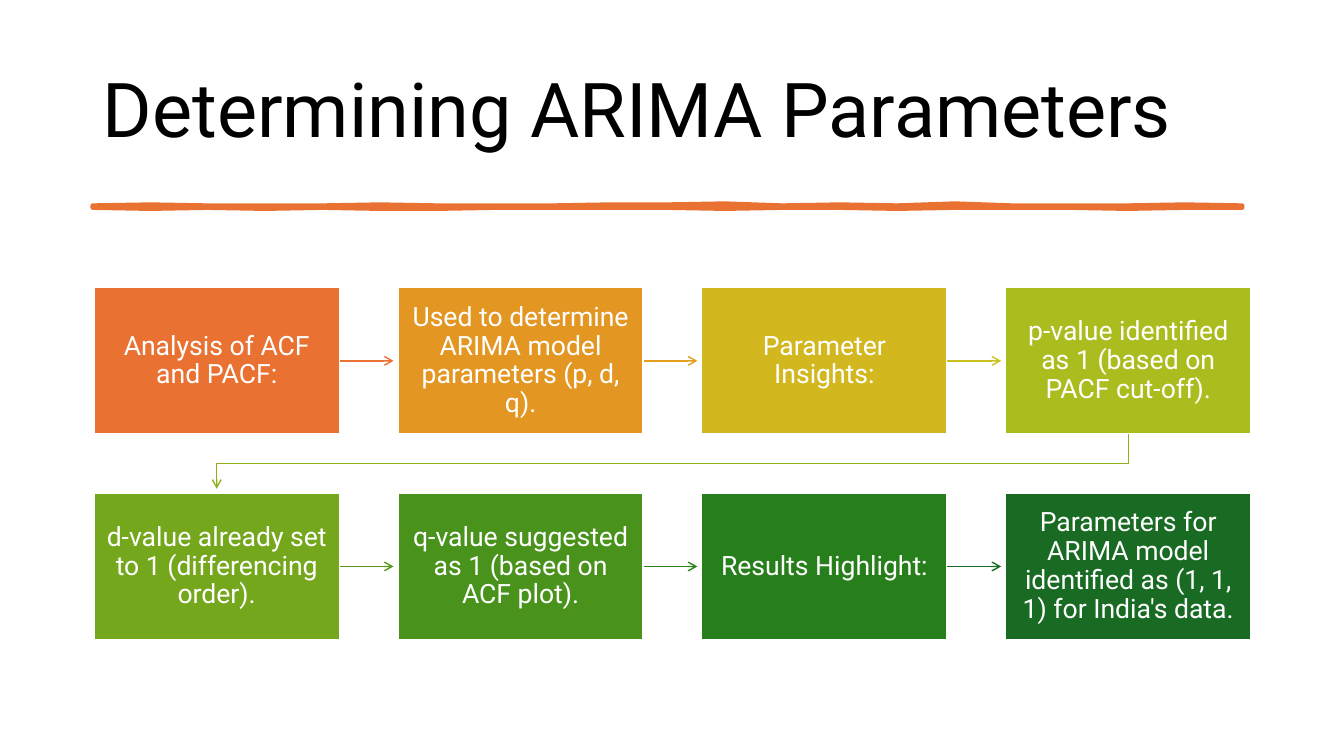
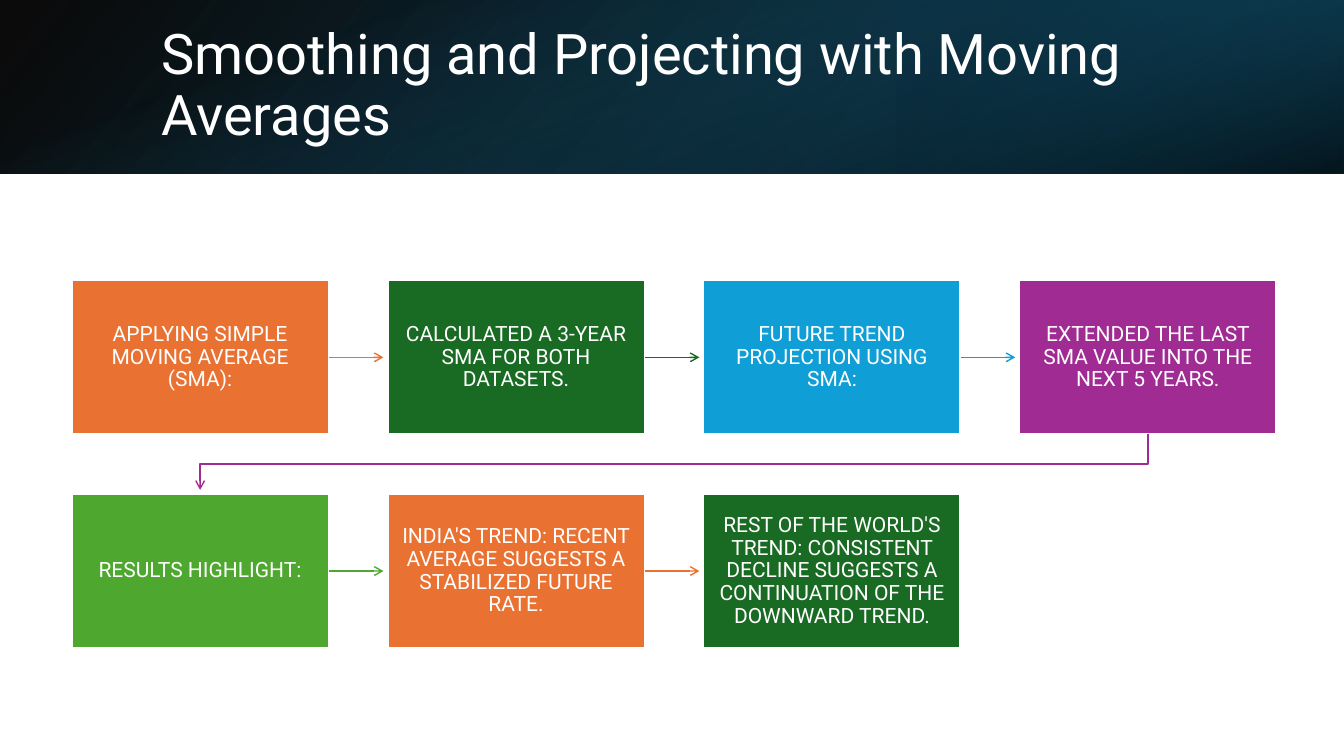
"""Build two process-flow slides about forecasting parameters and moving averages."""
from dataclasses import dataclass
from typing import Optional

import pptx
import pptx.dml.color
import pptx.enum.shapes
import pptx.enum.text
import pptx.oxml.ns
import pptx.oxml.xmlchemy
import pptx.shapes.autoshape
import pptx.slide
import pptx.util
from lxml import etree
from pptx.dml.color import RGBColor
from pptx.util import Inches, Pt

FONT = "Roboto"
WHITE = RGBColor(0xFF, 0xFF, 0xFF)
BLACK = RGBColor(0x00, 0x00, 0x00)
ORANGE = RGBColor(0xE9, 0x71, 0x32)
AMBER = RGBColor(0xE4, 0x96, 0x22)
AMBER_LINE = RGBColor(0xE3, 0x9D, 0x1F)
MUSTARD = RGBColor(0xD2, 0xB8, 0x1E)
MUSTARD_LINE = RGBColor(0xCB, 0xC1, 0x1E)
LIME = RGBColor(0xAB, 0xBC, 0x1E)
LIME_LINE = RGBColor(0x8E, 0xB2, 0x1E)
OLIVE = RGBColor(0x75, 0xA7, 0x1D)
OLIVE_LINE = RGBColor(0x56, 0x99, 0x1D)
LEAF = RGBColor(0x49, 0x93, 0x1D)
LEAF_LINE = RGBColor(0x2C, 0x82, 0x1B)
FOREST = RGBColor(0x27, 0x7F, 0x1B)
DARK_GREEN = RGBColor(0x19, 0x6B, 0x24)
GREEN = RGBColor(0x4E, 0xA7, 0x2E)
BLUE = RGBColor(0x0F, 0x9E, 0xD5)
PURPLE = RGBColor(0xA0, 0x2B, 0x93)
TEAL = RGBColor(0x15, 0x60, 0x82)
DEEP_TEAL = RGBColor(0x10, 0x48, 0x62)
NIGHT_TEAL = RGBColor(0x0B, 0x30, 0x41)

COLUMNS = 4
ARROW_GAP = 0.04
BRUSH_LEFT, BRUSH_WIDTH = 0.92, 11.4
BRUSH_TOP = (2.04, 2.03, 2.04, 2.04, 2.04, 2.03, 2.04, 2.04, 2.04, 2.03, 2.03,
             2.02, 2.04, 2.03, 2.04, 2.02, 2.04, 2.04, 2.04, 2.03, 2.04)
BRUSH_BOTTOM = (2.06, 2.07, 2.06, 2.07, 2.06, 2.07, 2.07, 2.06, 2.06, 2.06, 2.06,
                2.07, 2.06, 2.06, 2.07, 2.06, 2.06, 2.06, 2.07, 2.06, 2.06)


@dataclass(frozen=True)
class Step:
    """One box of a flow, with the colour of the arrow that leaves it."""
    text: str
    fill: RGBColor
    arrow: Optional[RGBColor] = None


@dataclass(frozen=True)
class Grid:
    """Placement of the flow boxes, in inches."""
    left: float
    top: float
    width: float
    box_w: float
    box_h: float
    row_step: float
    size: int

    def origin(self, i: int) -> tuple[float, float]:
        """Return the top left corner of box i."""
        row, col = divmod(i, COLUMNS)
        col_step = (self.width - self.box_w) / (COLUMNS - 1)
        return self.left + col * col_step, self.top + row * self.row_step


@dataclass(frozen=True)
class Stop:
    """A gradient stop; position and opacity run from 0 to 1."""
    position: float
    color: RGBColor
    opacity: float


@dataclass(frozen=True)
class Layer:
    """A gradient layer of the banner, with a clockwise angle."""
    left: float
    width: float
    angle: int
    stops: tuple[Stop, Stop]


ARIMA_GRID = Grid(0.93, 2.85, 11.48, 2.44, 1.46, 2.04, 19)
ARIMA_STEPS = (
    Step("Analysis of ACF and PACF:", ORANGE),
    Step("Used to determine ARIMA model parameters (p, d, q).", AMBER, AMBER_LINE),
    Step("Parameter Insights:", MUSTARD, MUSTARD_LINE),
    Step("p-value identified as 1 (based on PACF cut-off).", LIME, LIME_LINE),
    Step("d-value already set to 1 (differencing order).", OLIVE, OLIVE_LINE),
    Step("q-value suggested as 1 (based on ACF plot).", LEAF, LEAF_LINE),
    Step("Results Highlight:", FOREST, DARK_GREEN),
    Step("Parameters for ARIMA model identified as (1, 1, 1) for India's data.", DARK_GREEN),
)
SMA_GRID = Grid(0.71, 2.78, 11.95, 2.55, 1.53, 2.12, 15)
SMA_STEPS = (
    Step("APPLYING SIMPLE MOVING AVERAGE (SMA):", ORANGE),
    Step("CALCULATED A 3-YEAR SMA FOR BOTH DATASETS.", DARK_GREEN),
    Step("FUTURE TREND PROJECTION USING SMA:", BLUE),
    Step("EXTENDED THE LAST SMA VALUE INTO THE NEXT 5 YEARS.", PURPLE),
    Step("RESULTS HIGHLIGHT:", GREEN),
    Step("INDIA'S TREND: RECENT AVERAGE SUGGESTS A STABILIZED FUTURE RATE.", ORANGE),
    Step("REST OF THE WORLD'S TREND: CONSISTENT DECLINE SUGGESTS A "
         "CONTINUATION OF THE DOWNWARD TREND.", DARK_GREEN),
)
BANNER_HEIGHT = 1.72
BANNER = (
    Layer(0, 13.33, 40, (Stop(0, BLACK, 0.96), Stop(1, DEEP_TEAL, 1))),
    Layer(8.89, 4.44, 40, (Stop(0.19, NIGHT_TEAL, 0.68), Stop(1, TEAL, 0.79))),
    Layer(0, 13.33, 70, (Stop(0.23, TEAL, 0), Stop(0.99, BLACK, 0.74))),
)


def add_child(parent: etree.ElementBase, tag: str, **attrs: str) -> None:
    """Append a DrawingML element to a parent."""
    etree.SubElement(parent, pptx.oxml.ns.qn(tag), attrs)


def add_title(s: pptx.slide.Slide, text: str, box: tuple[float, float, float, float],
              size: int, color: RGBColor) -> None:
    """Fill, place and format the title, in front of what is already drawn."""
    title = s.shapes.title
    title.left, title.top, title.width, title.height = map(Inches, box)
    tf = title.text_frame
    tf.text = text
    tf.word_wrap = True
    tf.auto_size = pptx.enum.text.MSO_AUTO_SIZE.NONE
    tf.vertical_anchor = pptx.enum.text.MSO_ANCHOR.MIDDLE
    p = tf.paragraphs[0]
    p.alignment = pptx.enum.text.PP_ALIGN.LEFT
    p.line_spacing = 0.9
    p.font.name, p.font.size = FONT, Pt(size)
    p.font.color.rgb = color
    s.shapes._spTree.append(title._element)


def add_box(s: pptx.slide.Slide, grid: Grid, i: int,
            step: Step) -> pptx.shapes.autoshape.Shape:
    """Draw box i of a flow."""
    x, y = grid.origin(i)
    sp = s.shapes.add_shape(pptx.enum.shapes.MSO_SHAPE.RECTANGLE, Inches(x), Inches(y),
                            Inches(grid.box_w), Inches(grid.box_h))
    sp.shadow.inherit = False
    sp.fill.solid()
    sp.fill.fore_color.rgb = step.fill
    sp.line.color.rgb = WHITE
    sp.line.width = Pt(1.5)
    tf = sp.text_frame
    tf.word_wrap = True
    tf.vertical_anchor = pptx.enum.text.MSO_ANCHOR.MIDDLE
    tf.margin_left = tf.margin_right = Inches(0.12)
    tf.margin_top = tf.margin_bottom = Inches(0.13)
    tf.text = step.text
    p = tf.paragraphs[0]
    p.alignment = pptx.enum.text.PP_ALIGN.CENTER
    p.line_spacing = 0.9
    p.font.name, p.font.size = FONT, Pt(grid.size)
    p.font.color.rgb = WHITE
    return sp


def add_outline(s: pptx.slide.Slide, points: list[tuple[float, float]],
                closed: bool) -> pptx.shapes.autoshape.Shape:
    """Draw a freeform through points given in inches."""
    emu = [(Inches(x), Inches(y)) for x, y in points]
    builder = s.shapes.build_freeform(*emu[0])
    builder.add_line_segments(emu[1:], close=closed)
    sp = builder.convert_to_shape()
    sp.shadow.inherit = False
    return sp


def add_arrow(s: pptx.slide.Slide, grid: Grid, i: int, step: Step,
              box: pptx.shapes.autoshape.Shape) -> None:
    """Draw the arrow from box i to the next one, wrapping at the row's end."""
    x, y = grid.origin(i)
    next_x, next_y = grid.origin(i + 1)
    if next_y == y:
        mid_y = Inches(y + grid.box_h / 2)
        arrow = s.shapes.add_connector(pptx.enum.shapes.MSO_CONNECTOR.STRAIGHT,
                                       Inches(x + grid.box_w), mid_y,
                                       Inches(next_x - ARROW_GAP), mid_y)
        arrow.begin_connect(box, 3)
        add_child(arrow._element.spPr, "a:effectLst")
    else:
        start_x, end_x = x + grid.box_w / 2, next_x + grid.box_w / 2
        bottom = y + grid.box_h
        turn_y = (bottom + next_y) / 2
        arrow = add_outline(s, [(start_x, bottom), (start_x, turn_y), (end_x, turn_y),
                                (end_x, next_y - ARROW_GAP)], closed=False)
        arrow.fill.background()
    arrow.line.color.rgb = step.arrow or step.fill
    arrow.line.width = Pt(1)
    add_child(arrow.line._get_or_add_ln(), "a:tailEnd", type="arrow")


def add_flow(s: pptx.slide.Slide, grid: Grid, steps: tuple[Step, ...]) -> None:
    """Draw the boxes of a flow and the arrows between them."""
    boxes = [add_box(s, grid, i, step) for i, step in enumerate(steps)]
    for i, step in enumerate(steps[:-1]):
        add_arrow(s, grid, i, step, boxes[i])


def add_brush_rule(s: pptx.slide.Slide) -> None:
    """Draw the hand-drawn rule below the title."""
    dx = BRUSH_WIDTH / (len(BRUSH_TOP) - 1)
    top, bottom = ([(BRUSH_LEFT + i * dx, y) for i, y in enumerate(edge)]
                   for edge in (BRUSH_TOP, BRUSH_BOTTOM))
    sp = add_outline(s, top + bottom[::-1], closed=True)
    sp.fill.solid()
    sp.fill.fore_color.rgb = ORANGE
    sp.line.color.rgb = ORANGE
    sp.line.width = Pt(3.25)
    add_child(sp.line._get_or_add_ln(), "a:round")


def add_banner(s: pptx.slide.Slide) -> None:
    """Draw the gradient layers behind the title."""
    for layer in BANNER:
        sp = s.shapes.add_shape(pptx.enum.shapes.MSO_SHAPE.RECTANGLE, Inches(layer.left), 0,
                                Inches(layer.width), Inches(BANNER_HEIGHT))
        sp.shadow.inherit = False
        sp.line.fill.background()
        sp.fill.gradient()
        sp.fill.gradient_angle = 360 - layer.angle
        for gs, stop in zip(sp.fill.gradient_stops, layer.stops):
            gs.position = stop.position
            gs.color.rgb = stop.color
        colors = sp._element.spPr.iter(pptx.oxml.ns.qn("a:srgbClr"))
        for color, stop in zip(colors, layer.stops):
            add_child(color, "a:alpha", val=str(round(stop.opacity * 100000)))


def main() -> None:
    """Build and save the presentation."""
    prs = pptx.Presentation()
    prs.slide_width, prs.slide_height = Inches(13.33), Inches(7.5)
    title_only = prs.slide_layouts[5]

    s = prs.slides.add_slide(title_only)
    add_title(s, "Determining ARIMA Parameters", (0.92, 0.4, 11.5, 1.45), 54, BLACK)
    add_brush_rule(s)
    add_flow(s, ARIMA_GRID, ARIMA_STEPS)

    s = prs.slides.add_slide(title_only)
    add_banner(s)
    add_title(s, "Smoothing and Projecting with Moving Averages",
              (1.5, 0.38, 10.98, 0.96), 40, WHITE)
    add_flow(s, SMA_GRID, SMA_STEPS)

    prs.save("out.pptx")


if __name__ == "__main__":
    main()
